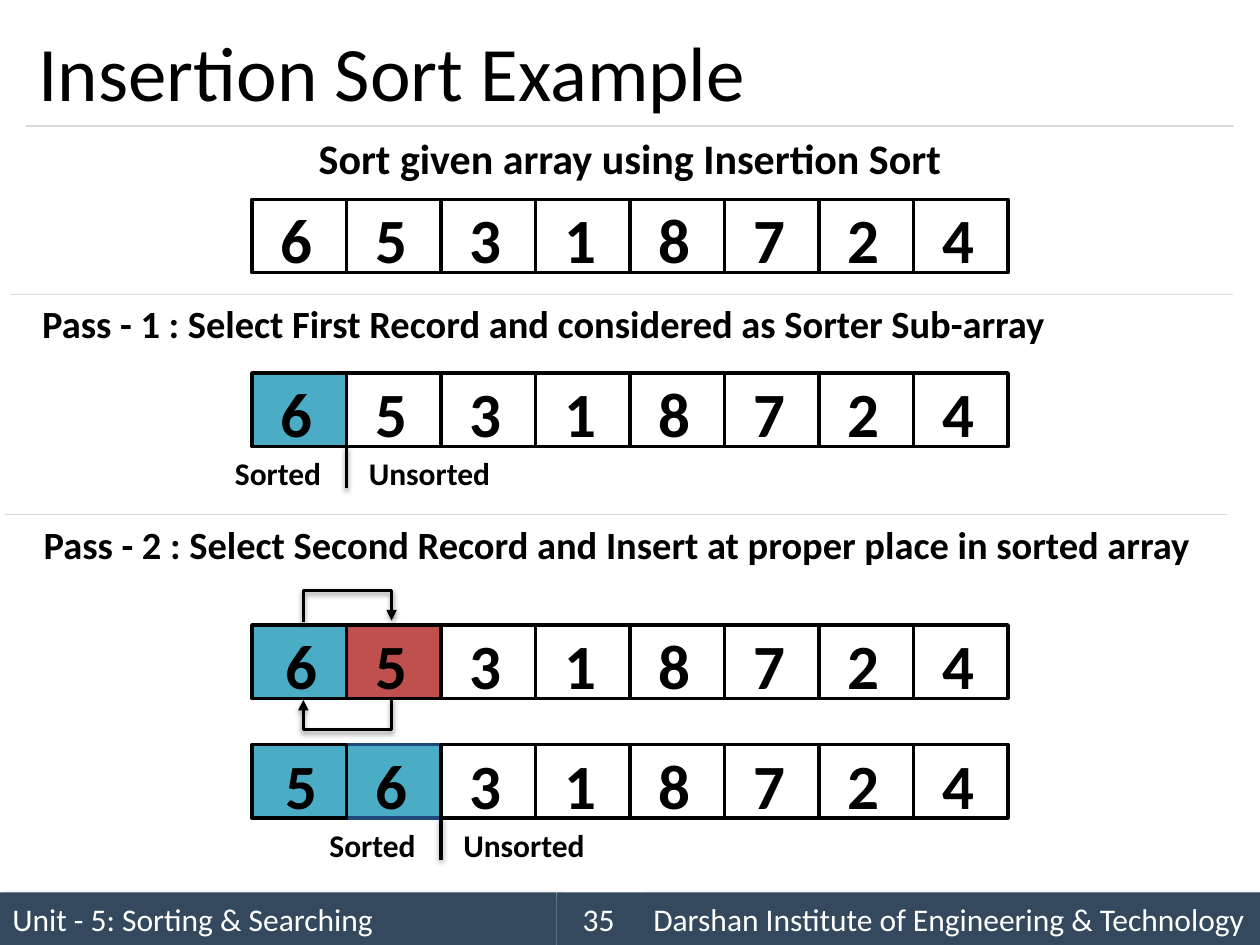
from lxml import etree
from pptx import Presentation
from pptx.dml.color import RGBColor
from pptx.enum.shapes import MSO_CONNECTOR, MSO_SHAPE
from pptx.enum.text import MSO_ANCHOR, PP_ALIGN
from pptx.oxml.ns import qn
from pptx.util import Cm, Pt

RECT = MSO_SHAPE.RECTANGLE
LINE, ELBOW = MSO_CONNECTOR.STRAIGHT, MSO_CONNECTOR.ELBOW
TOP, MIDDLE = MSO_ANCHOR.TOP, MSO_ANCHOR.MIDDLE
LEFT, CENTER, RIGHT = PP_ALIGN.LEFT, PP_ALIGN.CENTER, PP_ALIGN.RIGHT

BLACK = RGBColor(0x00, 0x00, 0x00)
WHITE = RGBColor(0xFF, 0xFF, 0xFF)
GREY = RGBColor(0xD9, 0xD9, 0xD9)
SLATE = RGBColor(0x34, 0x49, 0x5E)
TEAL = RGBColor(0x4B, 0xAC, 0xC6)
RED = RGBColor(0xC0, 0x50, 0x4D)
NAVY = RGBColor(0x1F, 0x49, 0x7D)

FONT = "Calibri"
WIDE = 25.4
ROW_X, ROW_W, ROW_H = 5.08, 15.24, 1.48
CELL = ROW_W / 8


def write(shape, text, size, bold=False, color=BLACK, align=LEFT, anchor=TOP):
    frame = shape.text_frame
    frame.word_wrap = True
    frame.vertical_anchor = anchor
    para = frame.paragraphs[0]
    para.alignment = align
    run = para.add_run()
    run.text = text
    font = run.font
    font.name, font.size, font.bold = FONT, Pt(size), bold
    font.color.rgb = color


def label(slide, box, text, size, **style):
    write(slide.shapes.add_textbox(*map(Cm, box)), text, size, **style)


def block(slide, box, fill, edge=None):
    shape = slide.shapes.add_shape(RECT, *map(Cm, box))
    shape.shadow.inherit = False
    shape.fill.solid()
    shape.fill.fore_color.rgb = fill
    if edge is None:
        shape.line.fill.background()
    else:
        shape.line.color.rgb = edge
        shape.line.width = Pt(2)
    return shape


def cast(effects, blur, dist, angle, alpha):
    """Add a black outer shadow; sizes in points, angle in degrees, alpha in percent."""
    outer = etree.SubElement(
        effects, qn("a:outerShdw"), blurRad=str(Pt(blur)), dist=str(Pt(dist)),
        dir=str(angle * 60000), rotWithShape="0")
    tint = etree.SubElement(outer, qn("a:srgbClr"), val="000000")
    etree.SubElement(tint, qn("a:alpha"), val=str(alpha * 1000))


def wire(slide, ends, kind=LINE, color=BLACK, width=2, shade=True, arrow=False):
    link = slide.shapes.add_connector(kind, *map(Cm, ends))
    link.line.color.rgb = color
    link.line.width = Pt(width)
    props = link._element.spPr
    if arrow:
        etree.SubElement(props.find(qn("a:ln")), qn("a:tailEnd"), type="triangle")
    effects = etree.SubElement(props, qn("a:effectLst"))
    if shade:
        cast(effects, 3.1, 1.6, 90, 38)
    return link


def rule(slide, x, y, width):
    wire(slide, (x, y, x + width, y), color=GREY, width=0.75, shade=False)


def loop(slide, x, y, span, rise, above):
    """Bent arrow centred on (x, y), rightward above a row or leftward below it."""
    thin = 0.04
    ends = (x - thin / 2, y - span / 2, x + thin / 2, y + span / 2)
    if above:
        ends = ends[2:] + ends[:2]
    link = wire(slide, ends, kind=ELBOW, arrow=True)
    props = link._element.spPr
    props.find(qn("a:xfrm")).set("rot", str(90 * 60000))
    guides = props.find(qn("a:prstGeom")).find(qn("a:avLst"))
    etree.SubElement(guides, qn("a:gd"), name="adj1",
                     fmla=f"val {round(rise / thin * 100000)}")


def array(slide, y, digits, fills=(), edges=(), lead=0):
    """Row of cells; lead moves the first digit to the right."""
    # The second cell goes first, so its neighbours cover its side edges.
    for i in sorted(range(len(digits)), key=lambda n: n != 1):
        fill = fills[i] if i < len(fills) else WHITE
        edge = edges[i] if i < len(edges) else BLACK
        cell = block(slide, (ROW_X + i * CELL, y, CELL, ROW_H), fill, edge)
        frame = cell.text_frame
        frame.margin_left = Cm(0.58 + (0 if i else lead))
        frame.margin_top = Cm(0.03)
        frame.margin_right = frame.margin_bottom = 0
        write(cell, digits[i], 36, bold=True)


def split(slide, y, count):
    """Divider and labels under a row whose first count cells are sorted."""
    x = ROW_X + count * CELL
    wire(slide, (x, y, x, y + 0.84))
    label(slide, (x - 2.6, y + 0.03, 2.34, 1.02), "Sorted", 18, bold=True, align=RIGHT)
    label(slide, (x + 0.2, y + 0.03, 3.12, 1.02), "Unsorted", 18, bold=True)


def footer(slide, y, height):
    left, page = 11.22, 1.7
    right = left + page
    parts = (
        (0, left, "Unit - 5: Sorting & Searching", LEFT),
        (right, WIDE - right, "Darshan Institute of Engineering & Technology", LEFT),
        (left, page, "35", CENTER),
    )
    for x, width, text, align in parts:
        bar = block(slide, (x, y, width, height), SLATE)
        if align == LEFT:
            cast(bar._element.spPr.find(qn("a:effectLst")), 4, 3, 45, 40)
        write(bar, text, 18, color=WHITE, align=align, anchor=MIDDLE)


def header(slide, x, y, width):
    label(slide, (x, y, width, 2.24), "Insertion Sort Example", 44, anchor=MIDDLE)
    rule(slide, x, y + 2.24, width)


def given(slide, y):
    label(slide, (6.1, y, 13.2, 1.27), "Sort given array using Insertion Sort", 24,
          bold=True, align=CENTER)
    array(slide, y + 1.48, "65318724")


def first(slide, y):
    rule(slide, 0.2, y, 24.66)
    label(slide, (0.6, y, 21, 1.2),
          "Pass - 1 : Select First Record and considered as Sorter Sub-array",
          22, bold=True)
    array(slide, y + 1.59, "65318724", fills=(TEAL,))
    split(slide, y + 1.59 + ROW_H, 1)


def second(slide, y):
    rule(slide, 0.1, y, 24.66)
    label(slide, (0.63, y, 23.94, 1.2),
          "Pass - 2 : Select Second Record and Insert at proper place in sorted array",
          22, bold=True)
    before, after = y + 2.23, y + 4.64
    array(slide, before, "65318724", fills=(TEAL, RED), lead=0.1)
    for mid, above in ((before - 0.07, True), (before + ROW_H + 0.01, False)):
        loop(slide, ROW_X + CELL + 0.02, mid, 1.78, 0.64, above)
    array(slide, after, "56318724", fills=(TEAL, TEAL), edges=(BLACK, NAVY), lead=0.1)
    split(slide, after + ROW_H, 2)


def main():
    deck = Presentation()
    deck.slide_width, deck.slide_height = Cm(WIDE), Cm(19.05)
    slide = deck.slides.add_slide(deck.slide_layouts[6])
    footer(slide, 17.99, 1.06)
    header(slide, 0.53, 0.3, 24.34)
    given(slide, 2.54)
    first(slide, 5.93)
    second(slide, 10.37)
    deck.save("out.pptx")


if __name__ == "__main__":
    main()
